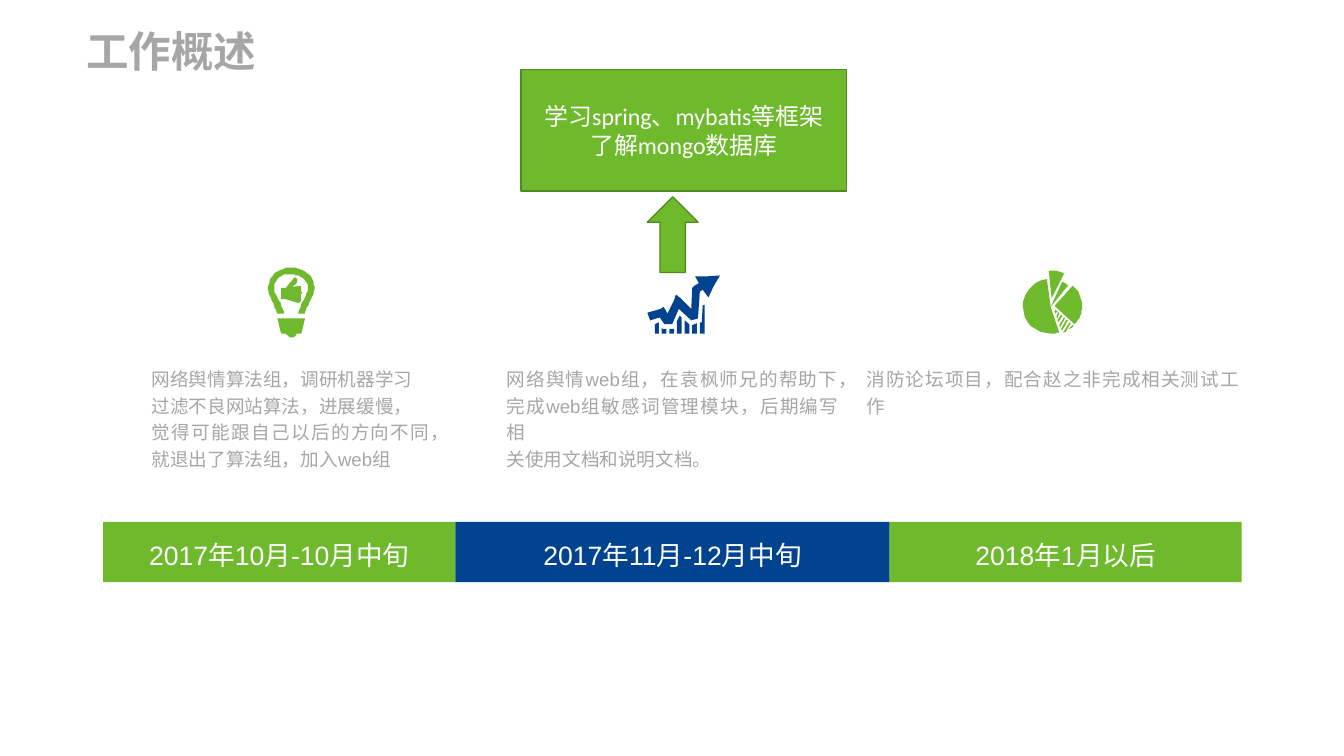
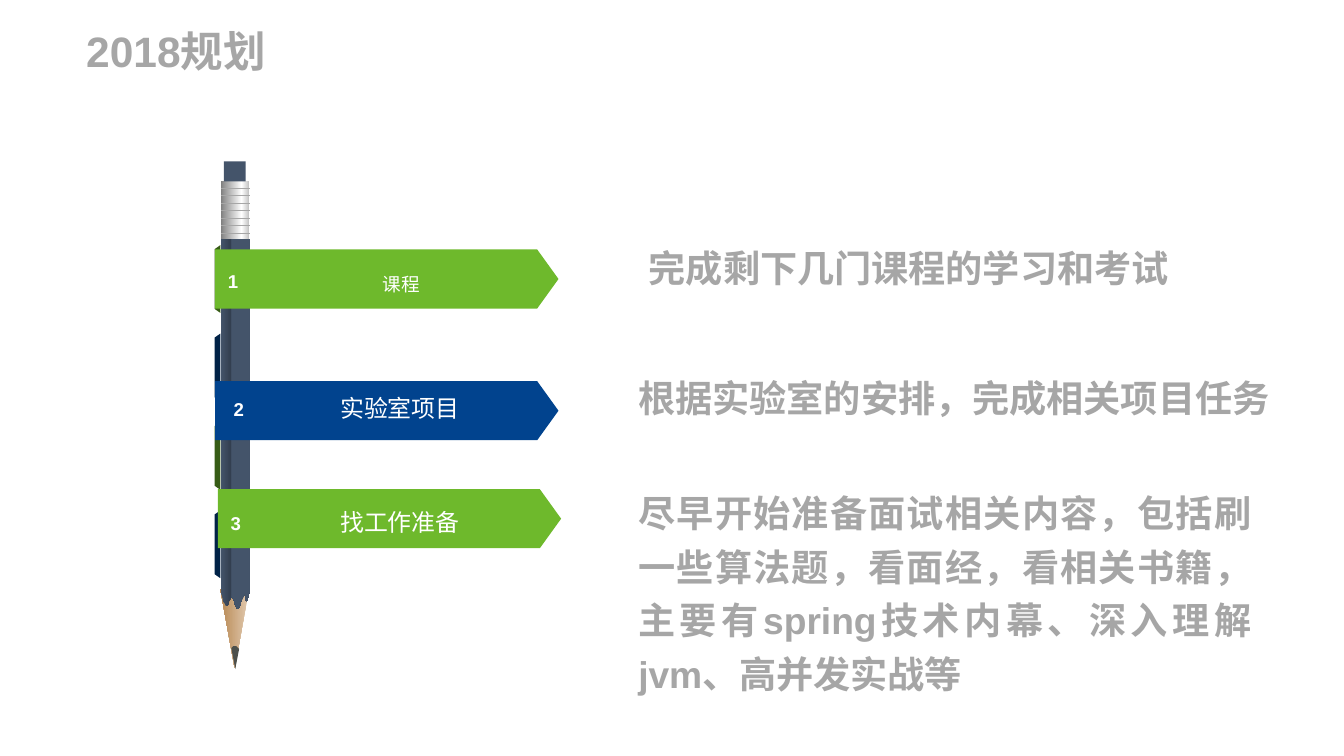
from dataclasses import dataclass

from lxml.etree import SubElement
from pptx import Presentation
from pptx.dml.color import RGBColor
from pptx.enum.shapes import MSO_CONNECTOR, MSO_SHAPE
from pptx.enum.text import MSO_ANCHOR, PP_ALIGN
from pptx.oxml.ns import qn
from pptx.util import Cm, Pt


@dataclass(frozen=True)
class Theme:
    green: str = "6EB92C"
    green_edge: str = "518921"
    green_fold: str = "375C16"
    blue: str = "01438E"
    blue_fold: str = "002247"
    grey: str = "A6A6A6"
    white: str = "FFFFFF"
    slate: str = "44546A"
    slate_dark: str = "333F50"
    lead: str = "4C504C"
    wood: tuple = ((0, "E1C9AF"), (100, "B88954"))
    metal: tuple = ((0, "BFBFBF"), (27, "FFFFFF"), (100, "808080"))
    font: str = "Arial"
    accent_font: str = "Calibri"
    title: int = 32
    plan: int = 28
    period: int = 20
    label: int = 18
    body: int = 14
    spacing: float = 1.2


THEME = Theme()


@dataclass(frozen=True)
class Box:
    """A rectangle measured in centimetres."""
    left: float
    top: float
    width: float
    height: float

    def inner(self, left, top, width, height):
        return Box(self.left + left, self.top + top, width, height)

    def lengths(self):
        return Cm(self.left), Cm(self.top), Cm(self.width), Cm(self.height)


# Outlines: a pair is a corner, six numbers are a Bézier curve
BULB = [
    [(11, 54), (40, 54), (36, 70), (31, 70), (31, 72, 29, 74, 26, 74),
     (23, 74, 21, 72, 20, 70), (15, 70)],
    [(36, 20), (36, 26), (37, 27), (36, 29), (35, 29), (36, 31), (36, 33),
     (35, 34), (36, 34), (35, 37), (33, 38), (20, 34), (15, 34), (15, 22),
     (20, 22), (29, 11), (35, 15, 30, 19, 27, 21)],
    [(11, 49), (18, 49), (17, 43, 14, 38, 12, 34), (9, 29, 7, 24, 8, 20),
     (9, 15, 12, 11, 16, 9), (19, 8, 22, 7, 26, 8), (29, 8, 32, 9, 35, 10),
     (39, 12, 42, 16, 43, 20), (44, 24, 41, 29, 39, 34),
     (37, 38, 34, 43, 33, 49), (40, 49), (41, 45, 43, 40, 45, 36),
     (48, 31, 51, 25, 49, 19), (49, 12, 44, 7, 38, 4), (34, 2, 30, 1, 26, 1),
     (22, 0, 17, 2, 13, 4), (7, 7, 3, 11, 2, 19), (0, 25, 3, 31, 6, 37),
     (8, 40, 9, 45, 11, 49)],
]
GROWTH = [
    [(76, 0), (69, 12), (64, 23), (58, 15), (55, 17), (53, 45), (46, 47),
     (33, 35), (26, 51), (18, 51), (13, 44), (3, 47), (0, 39), (14, 35),
     (17, 33), (19, 36), (21, 40), (28, 26), (30, 20), (35, 24), (46, 35),
     (47, 13), (49, 11), (54, 8), (50, 1), (62, 1)],
    [(8, 61), (12, 61), (12, 49), (8, 51)],
    [(15, 61), (20, 61), (20, 56), (16, 56), (15, 55)],
    [(23, 61), (28, 61), (28, 55), (28, 56), (23, 56)],
    [(31, 61), (36, 61), (36, 44), (34, 42), (31, 48)],
    [(39, 61), (44, 61), (44, 51), (39, 47)],
    [(47, 61), (52, 61), (52, 50), (47, 52)],
    [(55, 61), (60, 61), (60, 31), (58, 31), (57, 49), (55, 49)],
]
PIE = [
    [(52, 16), (58, 21, 62, 28, 62, 37), (62, 44, 59, 51, 54, 56), (33, 37)],
    [(53, 58), (52, 59, 50, 61, 48, 61), (52, 57)],
    [(45, 64), (50, 55), (49, 54), (42, 65)],
    [(41, 63), (47, 52), (45, 52), (40, 61)],
    [(39, 59), (44, 50), (43, 49), (38, 57)],
    [(37, 54), (41, 48), (40, 46), (36, 52)],
    [(36, 50), (38, 45), (37, 43), (35, 48)],
    [(34, 45), (36, 43), (34, 41), (33, 43)],
    [(32, 41), (32, 39), (33, 40)],
    [(41, 12), (29, 38), (25, 9), (11, 11, 0, 23, 0, 38),
     (0, 54, 13, 66, 29, 66), (32, 66, 36, 65, 38, 65), (29, 38), (47, 16),
     (46, 14, 44, 13, 41, 12)],
    [(30, 0), (27, 0), (30, 29), (43, 3), (39, 1, 34, 0, 30, 0)],
]
PENCIL_BODY = [
    [(0, 0), (30, 0), (30, 367), (29, 375, 28, 378, 27, 379),
     (25, 376, 26, 370, 24, 372), (23, 373, 20, 386, 18, 387),
     (16, 387, 13, 376, 11, 375), (9, 375, 8, 385, 6, 384),
     (3, 381, 1, 375, 0, 369)],
]
PENCIL_LEAD = [
    [(4, 0), (6, 0, 7, 2, 8, 3), (4, 24), (0, 3), (0, 1, 2, 0, 4, 0)],
]


def color(value):
    return RGBColor.from_string(value)


def paint(shape, fill, edge=None, angle=0):
    """Fill with one colour, or with gradient stops at a clockwise angle."""
    shape.shadow.inherit = False
    if isinstance(fill, str):
        shape.fill.solid()
        shape.fill.fore_color.rgb = color(fill)
    else:
        shape.fill.gradient()
        shape.fill.gradient_angle = -angle % 360
        stops = shape._element.spPr.find(".//" + qn("a:gsLst"))
        for stop in list(stops):
            stops.remove(stop)
        for position, value in fill:
            stop = SubElement(stops, qn("a:gs"), pos=str(position * 1000))
            SubElement(stop, qn("a:srgbClr"), val=value)
    if edge:
        shape.line.color.rgb = color(edge)
        shape.line.width = Pt(1)
    else:
        shape.line.fill.background()


def add_block(slide, kind, box, fill, edge=None, angle=0, rotation=0, adjust=None):
    shape = slide.shapes.add_shape(kind, *box.lengths())
    paint(shape, fill, edge, angle)
    shape.rotation = rotation
    if adjust is not None:
        shape.adjustments[0] = adjust
    return shape


def curve_points(start, curve, steps=8):
    points = [start, curve[0:2], curve[2:4], curve[4:6]]
    for step in range(1, steps + 1):
        t = step / steps
        weights = ((1 - t) ** 3, 3 * t * (1 - t) ** 2, 3 * t * t * (1 - t), t ** 3)
        yield tuple(sum(w * p[axis] for w, p in zip(weights, points))
                    for axis in (0, 1))


def add_outline(slide, contours, left, top, fill):
    """Draw closed contours given in hundredths of 2.54 cm."""
    builder = slide.shapes.build_freeform(*contours[0][0], scale=Cm(2.54) / 100)
    for index, (start, *steps) in enumerate(contours):
        if index:
            builder.move_to(*start)
        points = [start]
        for step in steps:
            points += [step] if len(step) == 2 else curve_points(points[-1], step)
        builder.add_line_segments(points[1:], close=True)
    paint(builder.convert_to_shape(Cm(left), Cm(top)), fill)


def write(shape, lines, size, ink, font=THEME.font, align=PP_ALIGN.LEFT,
          bold=False, spacing=THEME.spacing, wrap=True):
    frame = shape.text_frame
    frame.word_wrap = wrap
    frame.text = "\n".join(lines)
    for paragraph in frame.paragraphs:
        paragraph.alignment = align
        paragraph.line_spacing = spacing
        paragraph.font.name = font
        paragraph.font.size = Pt(size)
        paragraph.font.bold = bold
        paragraph.font.color.rgb = color(ink)


def add_text(slide, box, lines, size, ink, **style):
    shape = slide.shapes.add_textbox(*box.lengths())
    write(shape, lines, size, ink, **style)
    return shape


def add_titled_slide(presentation, title):
    slide = presentation.slides.add_slide(presentation.slide_layouts[6])
    shape = add_text(slide, Box(2.29, 0.66, 7.8, 1.37), [title], THEME.title,
                     THEME.grey, bold=True, spacing=1.0)
    frame = shape.text_frame
    frame.vertical_anchor = MSO_ANCHOR.MIDDLE
    frame.margin_left = frame.margin_right = frame.margin_top = frame.margin_bottom = 0
    return slide


def add_stage(slide, box, fill, period, icon, icon_place, text_place, lines):
    """One timeline column: icon, description and period bar at its foot."""
    add_outline(slide, icon, box.left + icon_place[0], box.top + icon_place[1], fill)
    text_left, text_width = text_place
    add_text(slide, box.inner(text_left, 2.44, text_width, 3.12), lines,
             THEME.body, THEME.grey, align=PP_ALIGN.JUSTIFY)
    bar = add_block(slide, MSO_SHAPE.RECTANGLE,
                    box.inner(0, box.height - 1.6, box.width, 1.6), fill)
    write(bar, [period], THEME.period, THEME.white, align=PP_ALIGN.CENTER)


def add_callout(slide, box):
    """Framed note with an arrow rising to it."""
    add_block(slide, MSO_SHAPE.UP_ARROW, box.inner(3.36, 3.38, 1.35, 2.01),
              THEME.green, THEME.green_edge)
    note = add_block(slide, MSO_SHAPE.RECTANGLE, box, THEME.green, THEME.green_edge)
    write(note, ["学习spring、mybatis等框架", "了解mongo数据库"], THEME.label,
          THEME.white, font=THEME.accent_font, align=PP_ALIGN.CENTER, spacing=1.0)


def build_overview(presentation):
    slide = add_titled_slide(presentation, "工作概述")
    stages = [
        (9.36, THEME.green, "2017年10月-10月中旬", BULB, (4.35, 0), (1.04, 7.92),
         ["网络舆情算法组，调研机器学习", "过滤不良网站算法，进展缓慢，",
          "觉得可能跟自己以后的方向不同，", "就退出了算法组，加入web组"]),
        (11.54, THEME.blue, "2017年11月-12月中旬", GROWTH, (5.1, 0.23), (1.11, 9.32),
         ["网络舆情web组，在袁枫师兄的帮助下，",
          "完成web组敏感词管理模块，后期编写相", "关使用文档和说明文档。"]),
        (9.35, THEME.green, "2018年1月以后", PIE, (3.54, 0.1), (-0.86, 10.39),
         ["消防论坛项目，配合赵之非完成相关测试工作"]),
    ]
    left = 2.74
    for width, *content in stages:
        add_stage(slide, Box(left, 7.09, width, 8.38), *content)
        left += width
    add_callout(slide, Box(13.84, 1.85, 8.66, 3.23))


def add_pencil(slide, box):
    # Wooden tip, body, ferrule, eraser and lead
    add_block(slide, MSO_SHAPE.PENTAGON, box.inner(-0.69, 12.04, 2.11, 0.76),
              THEME.wood, angle=90, rotation=90, adjust=2.82)
    body = ((0, THEME.slate), (34, THEME.slate_dark), (38, THEME.slate), (100, THEME.slate))
    add_outline(slide, PENCIL_BODY, box.left, box.top + 2.06, body)
    add_block(slide, MSO_SHAPE.RECTANGLE, box.inner(0, 0.53, box.width, 1.53),
              THEME.metal, angle=180)
    add_block(slide, MSO_SHAPE.RECTANGLE, box.inner(0.08, 0, 0.58, 0.53), THEME.slate)
    add_outline(slide, PENCIL_LEAD, box.left + 0.28, box.top + 12.88, THEME.lead)
    # Ferrule rings
    for ring in range(7):
        height = Cm(box.top + 0.71 + 0.2 * ring)
        line = slide.shapes.add_connector(
            MSO_CONNECTOR.STRAIGHT, Cm(box.left), height,
            Cm(box.left + box.width), height)
        line.line.color.rgb = color(THEME.grey)
        line.line.width = Pt(0.5)
        SubElement(line._element.spPr, qn("a:effectLst"))
    # Ribbon folds behind the pencil
    for index in range(4):
        fold = THEME.blue_fold if index % 2 else THEME.green_fold
        add_block(slide, MSO_SHAPE.TRAPEZOID,
                  box.inner(-0.99, 3.05 + 2.35 * index, 1.8, 0.15), fold,
                  rotation=270, adjust=0.7)


def add_banner(slide, box, number, number_place, fill, label, label_box, style):
    add_block(slide, MSO_SHAPE.PENTAGON, box, fill, adjust=0.36)
    add_text(slide, box.inner(*number_place, 0.79, 0.91), [str(number)], THEME.body,
             THEME.white, align=PP_ALIGN.CENTER, bold=True, wrap=False)
    add_text(slide, box.inner(*label_box), [label], ink=THEME.white, **style)


def build_plan(presentation):
    slide = add_titled_slide(presentation, "2018规划")
    add_pencil(slide, Box(5.87, 4.29, 0.76, 13.49))
    # Numbered banners
    small = dict(size=THEME.body, align=PP_ALIGN.CENTER)
    large = dict(size=THEME.label, font=THEME.accent_font, spacing=1.0, wrap=False)
    banners = [
        (5.72, 6.63, (0.08, 0.3), THEME.green, "课程", (1.92, 0.38, 6.05, 0.97), small),
        (5.72, 10.13, (0.23, 0.2), THEME.blue, "实验室项目", (3.07, 0.2, 3.68, 1.02), large),
        (5.79, 13.0, (0.08, 0.36), THEME.green, "找工作准备", (3.0, 0.36, 3.68, 1.02), large),
    ]
    for number, (left, top, *content) in enumerate(banners, 1):
        number_place, *rest = content
        add_banner(slide, Box(left, top, 9.12, 1.57), number, number_place, *rest)
    # Goals beside the banners
    goals = [
        (Box(16.99, 6.17, 15.11, 1.68), PP_ALIGN.JUSTIFY, True,
         "完成剩下几门课程的学习和考试"),
        (Box(16.71, 9.6, 17.3, 1.68), PP_ALIGN.LEFT, False,
         "根据实验室的安排，完成相关项目任务"),
        (Box(16.71, 12.67, 16.79, 5.99), PP_ALIGN.JUSTIFY, True,
         "尽早开始准备面试相关内容，包括刷一些算法题，看面经，看相关书籍，"
         "主要有spring技术内幕、深入理解jvm、高并发实战等"),
    ]
    for box, align, wrap, goal in goals:
        add_text(slide, box, [goal], THEME.plan, THEME.grey, align=align,
                 bold=True, wrap=wrap)


def main():
    presentation = Presentation()
    presentation.slide_width = Cm(35.71)
    presentation.slide_height = Cm(20.09)
    build_overview(presentation)
    build_plan(presentation)
    presentation.save("out.pptx")


if __name__ == "__main__":
    main()
